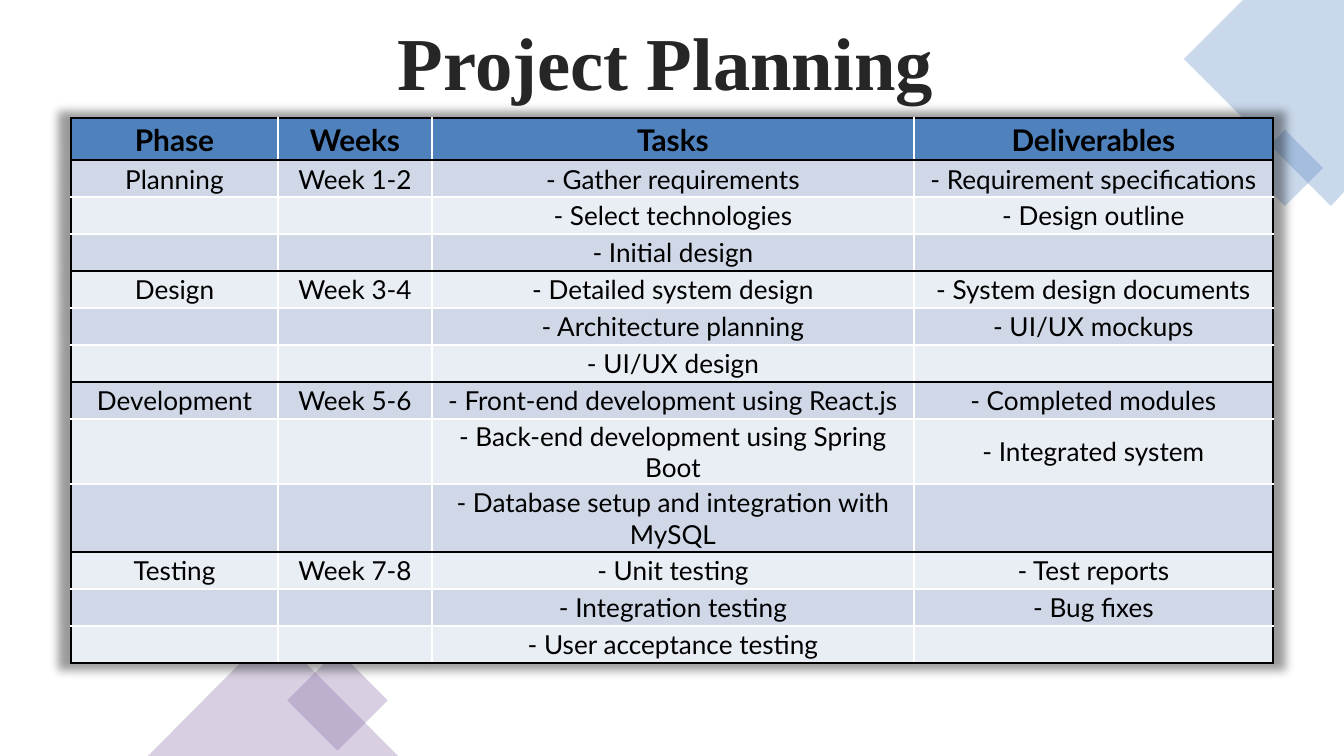
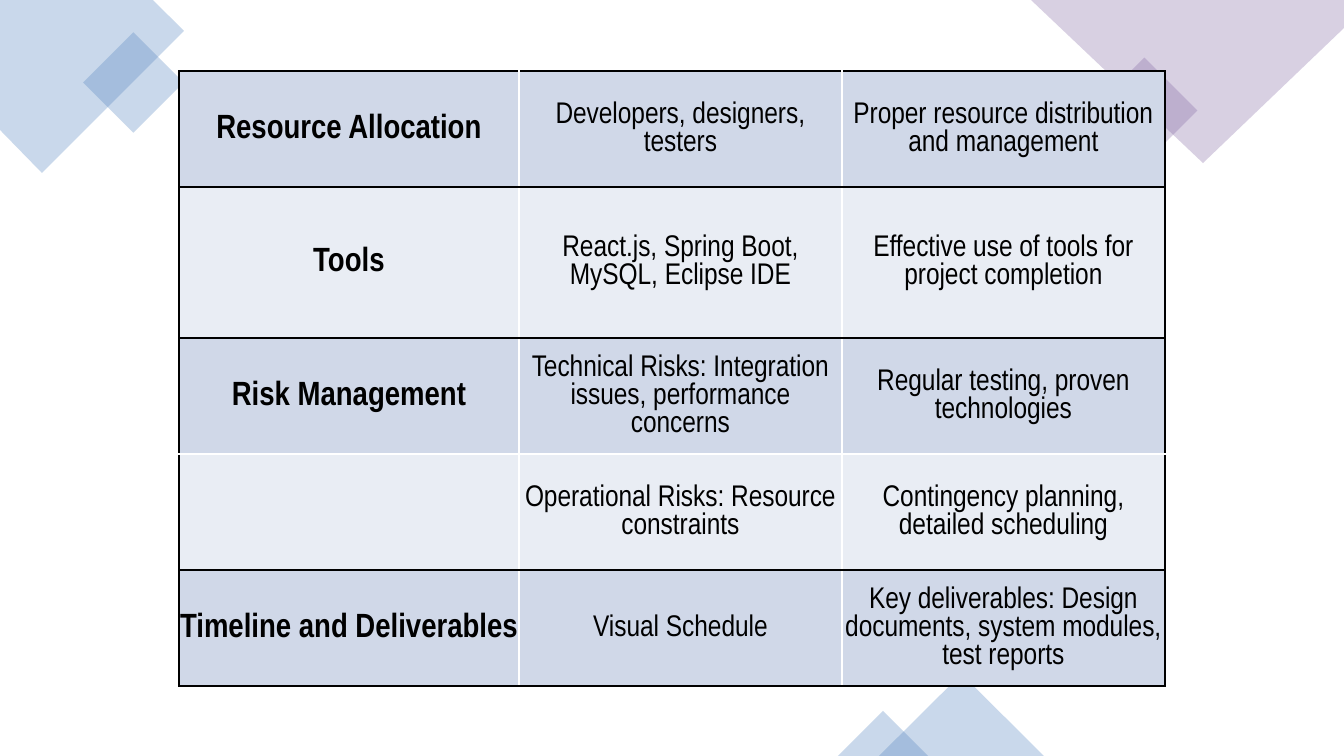
from lxml.etree import SubElement
from pptx import Presentation
from pptx.dml.color import RGBColor
from pptx.enum.shapes import MSO_SHAPE as SHAPE
from pptx.enum.text import MSO_ANCHOR as ANCHOR, MSO_AUTO_SIZE as AUTO_SIZE, PP_ALIGN as ALIGN
from pptx.oxml.ns import qn
from pptx.util import Emu, Pt

WIDTH, HEIGHT = 1344, 756
SCALE = 9144000 / WIDTH

BLUE = RGBColor(0x4F, 0x81, 0xBD)
PURPLE = RGBColor(0x80, 0x64, 0xA2)
DARK_BAND = RGBColor(0xD0, 0xD8, 0xE8)
LIGHT_BAND = RGBColor(0xE9, 0xED, 0xF4)
INK = RGBColor(0x26, 0x26, 0x26)
BLACK = RGBColor(0, 0, 0)
WHITE = RGBColor(0xFF, 0xFF, 0xFF)

TITLE_FORMAT = {"name": "Times New Roman", "size": Pt(40), "bold": True}
HEADER_FORMAT = {"name": "Lato", "size": Pt(16), "bold": True}
TASK_FORMAT = {"name": "Lato", "size": Pt(14), "bold": False}
TOPIC_FORMAT = {"name": "Arial Narrow", "size": Pt(18), "bold": True}
DETAIL_FORMAT = {"name": "Arial Narrow", "size": Pt(16), "bold": False}

PLAN_ROWS = [
    ("Phase", "Weeks", "Tasks", "Deliverables"),
    ("Planning", "Week 1-2", "- Gather requirements", "- Requirement specifications"),
    ("", "", "- Select technologies", "- Design outline"),
    ("", "", "- Initial design", ""),
    ("Design", "Week 3-4", "- Detailed system design", "- System design documents"),
    ("", "", "- Architecture planning", "- UI/UX mockups"),
    ("", "", "- UI/UX design", ""),
    ("Development", "Week 5-6", "- Front-end development using React.js", "- Completed modules"),
    ("", "", "- Back-end development using Spring Boot", "- Integrated system"),
    ("", "", "- Database setup and integration with MySQL", ""),
    ("Testing", "Week 7-8", "- Unit testing", "- Test reports"),
    ("", "", "- Integration testing", "- Bug fixes"),
    ("", "", "- User acceptance testing", ""),
]
RESOURCE_ROWS = [
    ("Resource Allocation", "Developers, designers, testers",
     "Proper resource distribution and management"),
    ("Tools", "React.js, Spring Boot, MySQL, Eclipse IDE",
     "Effective use of tools for project completion"),
    ("Risk Management", "Technical Risks: Integration issues, performance concerns",
     "Regular testing, proven technologies"),
    ("", "Operational Risks: Resource constraints", "Contingency planning, detailed scheduling"),
    ("Timeline and Deliverables", "Visual Schedule",
     "Key deliverables: Design documents, system modules, test reports"),
]


def px(length):
    return Emu(round(length * SCALE))


def set_font(font, values, color):
    for name, value in values.items():
        setattr(font, name, value)
    font.color.rgb = color


def tint(shape, color):
    shape.shadow.inherit = False
    shape.fill.solid()
    shape.fill.fore_color.rgb = color
    shape.line.fill.background()
    solid = shape._element.spPr.find(qn("a:solidFill"))
    SubElement(solid[0], qn("a:alpha"), val="30000")


def add_preset(page, kind, left, top, width, height, color, rotation=0):
    shape = page.shapes.add_shape(kind, px(left), px(top), px(width), px(height))
    shape.rotation = rotation
    tint(shape, color)


def add_diamond(page, left, top, side, color, rotation=315):
    add_preset(page, SHAPE.RECTANGLE, left, top, side, side, color, rotation)


def add_peak(page, left, width, height, color):
    add_preset(page, SHAPE.ISOSCELES_TRIANGLE, left, HEIGHT - height, width, height, color)


def add_corner(page, points, color):
    builder = page.shapes.build_freeform(*points[0], scale=SCALE)
    builder.add_line_segments(points[1:], close=True)
    tint(builder.convert_to_shape(), color)


def add_title(page, text):
    box = page.shapes.add_textbox(px(65), px(19), px(1201), px(95))
    frame = box.text_frame
    frame.word_wrap = True
    frame.auto_size = AUTO_SIZE.SHAPE_TO_FIT_TEXT
    para = frame.paragraphs[0]
    para.alignment = ALIGN.CENTER
    para.line_spacing = 0.9
    para.space_after = Pt(6)
    span = para.add_run()
    span.text = text
    set_font(span.font, TITLE_FORMAT, INK)


def set_borders(cell, colors):
    props = cell._tc.get_or_add_tcPr()
    for index, (side, color) in enumerate(colors.items()):
        line = SubElement(props, qn(f"a:ln{side}"), w=str(Pt(1)))
        solid = SubElement(line, qn("a:solidFill"))
        SubElement(solid, qn("a:srgbClr"), val=str(color))
        props.insert(index, line)


def fill_cell(cell, text, values, band):
    cell.margin_left = cell.margin_top = cell.margin_right = px(1)
    cell.margin_bottom = 0
    cell.vertical_anchor = ANCHOR.MIDDLE
    cell.fill.solid()
    cell.fill.fore_color.rgb = band
    para = cell.text_frame.paragraphs[0]
    para.alignment = ALIGN.CENTER
    if text:
        span = para.add_run()
        span.text = text
        set_font(span.font, values, BLACK)
    else:
        SubElement(para._p, qn("a:endParaRPr"), sz=str(int(values["size"].pt * 100)))


def add_grid(page, left, top, widths, heights, rows, bands, pick_format):
    frame = page.shapes.add_table(len(rows), len(widths), px(left), px(top),
                                  px(sum(widths)), px(sum(heights)))
    table = frame.table
    table.first_row = table.horz_banding = False
    for column, width in zip(table.columns, widths):
        column.width = px(width)
    for row, height in zip(table.rows, heights):
        row.height = px(height)
    starts = [bool(row[0]) for row in rows] + [True]
    last = len(widths) - 1
    for r, row in enumerate(rows):
        for c, text in enumerate(row):
            cell = table.cell(r, c)
            fill_cell(cell, text, pick_format(r, c), bands[r])
            edges = {"L": c == 0, "R": c == last, "T": starts[r], "B": starts[r + 1]}
            set_borders(cell, {side: BLACK if outer else WHITE for side, outer in edges.items()})
    return table


def add_glow(table):
    props = table._tbl.tblPr
    effects = SubElement(props, qn("a:effectLst"))
    props.insert(0, effects)
    shadow = SubElement(effects, qn("a:outerShdw"), blurRad=str(Pt(5)), sx="102000",
                        sy="102000", algn="ctr", rotWithShape="0")
    color = SubElement(shadow, qn("a:prstClr"), val="black")
    SubElement(color, qn("a:alpha"), val="40000")


def alternate(count):
    return [LIGHT_BAND if index % 2 else DARK_BAND for index in range(count)]


def build_plan(page):
    add_corner(page, [(1344, 0), (1243, 0), (1184, 59), (1331, 206), (1344, 192)], BLUE)
    add_diamond(page, 1258, 141, 54, BLUE)
    add_diamond(page, 302, 665, 71, PURPLE, 45)
    add_peak(page, 148, 250, 126, PURPLE)
    heights = [42] + [37] * 7 + [65, 68] + [37] * 3
    bands = [BLUE] + alternate(len(PLAN_ROWS) - 1)
    table = add_grid(page, 71, 118, [207, 154, 482, 359], heights, PLAN_ROWS, bands,
                     lambda r, c: TASK_FORMAT if r else HEADER_FORMAT)
    add_glow(table)
    add_title(page, "Project Planning")


def build_resources(page):
    add_corner(page, [(153, 0), (0, 0), (0, 130), (42, 173), (184, 31)], BLUE)
    add_diamond(page, 98, 47, 71, BLUE)
    add_diamond(page, 1107, 73, 75, PURPLE)
    add_corner(page, [(1344, 0), (1031, 0), (1203, 163), (1344, 28)], PURPLE)
    add_peak(page, 879, 165, 82, BLUE)
    add_peak(page, 838, 90, 45, BLUE)
    add_grid(page, 179, 71, [340, 323, 323], [116, 151, 116, 116, 116], RESOURCE_ROWS,
             alternate(len(RESOURCE_ROWS)),
             lambda r, c: DETAIL_FORMAT if c else TOPIC_FORMAT)


def main():
    deck = Presentation()
    deck.slide_width, deck.slide_height = px(WIDTH), px(HEIGHT)
    for build in (build_plan, build_resources):
        build(deck.slides.add_slide(deck.slide_layouts[6]))
    deck.save("out.pptx")


if __name__ == "__main__":
    main()
